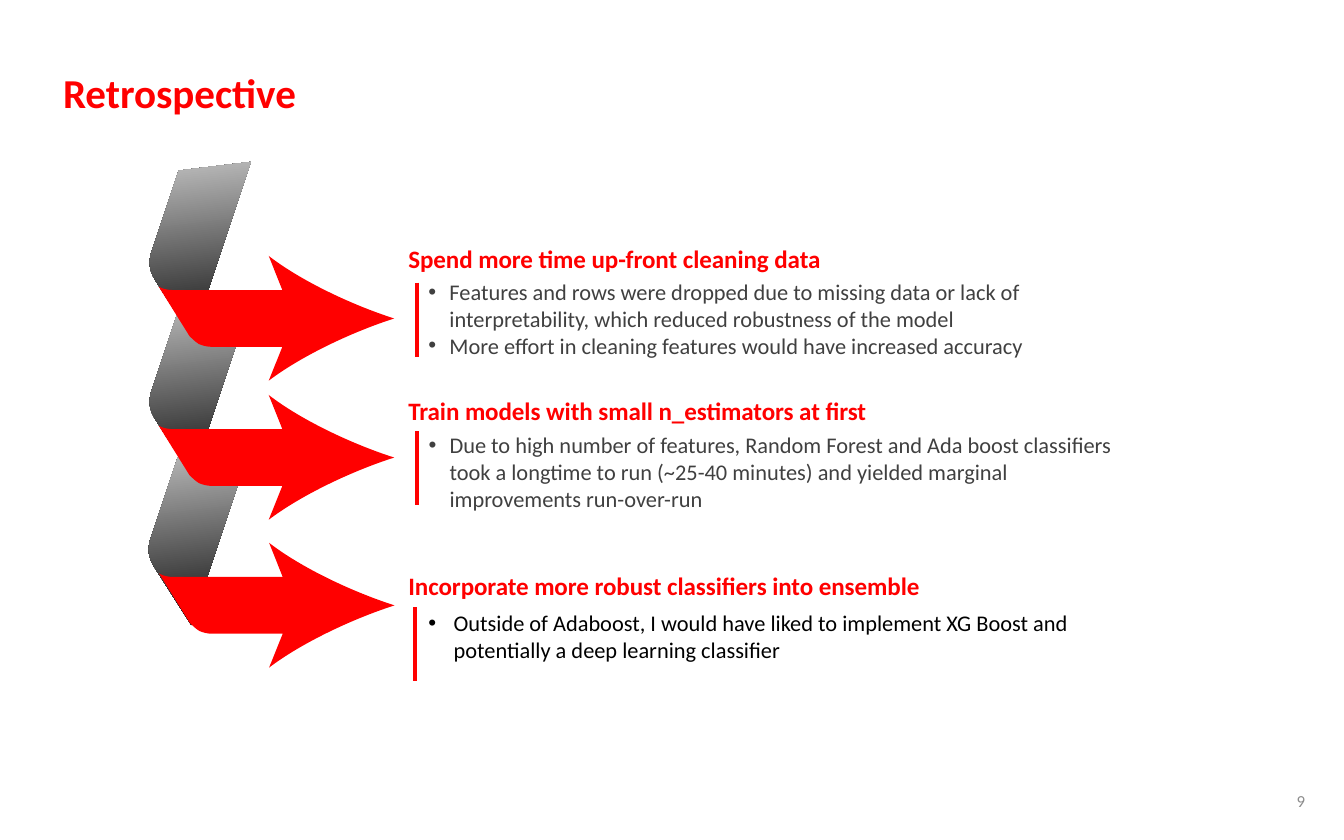
"""Build the Retrospective slide: a folded ribbon with three lessons."""
from lxml import etree
from pptx import Presentation, util as u
from pptx.dml.color import RGBColor
from pptx.enum import shapes, text
from pptx.oxml.ns import qn

RED = RGBColor(0xFF, 0x00, 0x00)
BLACK = RGBColor(0x00, 0x00, 0x00)
CHARCOAL = RGBColor(0x40, 0x40, 0x40)
SILVER = RGBColor(0xBF, 0xBF, 0xBF)
GRAY = RGBColor(0x8C, 0x8C, 0x8C)

deck = Presentation()
deck.slide_width, deck.slide_height = u.Pt(720), u.Pt(450)
slide = deck.slides.add_slide(deck.slide_layouts[5])


def write(paragraphs, left, top, width, height, size, color, bold=False, holder=None,
          indent=0, align=text.PP_ALIGN.LEFT, anchor=text.MSO_ANCHOR.TOP, spacing=1.0):
    box = [u.Pt(value) for value in (left, top, width, height)]
    holder = holder or slide.shapes.add_textbox(*box)
    holder.left, holder.top, holder.width, holder.height = box
    frame = holder.text_frame
    frame.text = "\n".join(paragraphs)
    frame.word_wrap = True
    frame.auto_size = text.MSO_AUTO_SIZE.NONE
    frame.vertical_anchor = anchor
    for paragraph in frame.paragraphs:
        paragraph.alignment = align
        paragraph.line_spacing = spacing
        if indent:
            properties = paragraph._p.get_or_add_pPr()
            properties.set("marL", str(u.Pt(indent)))
            properties.set("indent", str(-u.Pt(indent)))
            etree.SubElement(properties, qn("a:buFont")).set("typeface", "Arial")
            etree.SubElement(properties, qn("a:buChar")).set("char", "•")
        for run in paragraph.runs:
            run.font.name, run.font.size = "Calibri", u.Pt(size)
            run.font.bold, run.font.color.rgb = bold, color


def draw_outline(start, segments, shift, drop):
    corners = [(u.Pt(x + shift), u.Pt(y + drop))
               for x, y in [start] + [segment[-1] for segment in segments]]
    builder = slide.shapes.build_freeform(*corners[0])
    builder.add_line_segments(corners[1:], close=True)
    outline = builder.convert_to_shape()
    edges = list(outline._element.spPr.iter(qn("a:lnTo")))
    for edge, segment in zip(edges, segments):
        if len(segment) == 3:
            curve = etree.Element(qn("a:cubicBezTo"))
            for x, y in segment:
                etree.SubElement(curve, qn("a:pt"),
                                 x=str(u.Pt(x + shift) - outline.left),
                                 y=str(u.Pt(y + drop) - outline.top))
            edge.getparent().replace(edge, curve)
    outline.shadow.inherit = False
    outline.line.fill.background()
    return outline


RIBBON_START = (101.1, 90)
RIBBON = [
    [(98.1, 96.2), (81.6, 131.1), (81.6, 131.1)],
    [(80.6, 133.2), (79.6, 136), (79.6, 139)],
    [(79.6, 141.8), (80.6, 144.8), (81.8, 147.2)],
    [(97.5, 180)],
    [(140.1, 90)],
]
ARROW_START = (144, 203.9)
ARROW = [
    [(151.3, 185.8)],
    [(113.6, 185.8)],
    [(111.1, 185.8), (108.7, 185.2), (106.6, 184.3)],
    [(104.4, 182.9), (103, 181.4), (101.5, 180)],
    [(85, 153.5)],
    [(85, 153.5), (87.8, 155.4), (92.9, 155.4)],
    [(151.3, 155.4)],
    [(144, 137.1)],
    [(161.3, 150.5), (188.6, 163.4), (211.2, 170.6)],
    [(188.6, 177.8), (161.3, 190.8), (144, 203.9)],
]
SHADES = [(0, BLACK), (31, CHARCOAL), (100, SILVER)]

for ribbon_shift, arrow_shift, drop in ((-0.5, 0.2, 153.7), (0, 0, 74.5), (0, 0, 0)):
    ribbon = draw_outline(RIBBON_START, RIBBON, ribbon_shift, drop)
    ribbon.rotation = -6.9
    ribbon.fill.gradient()
    ribbon.fill.gradient_angle = 90
    stops = ribbon._element.spPr.find(qn("a:gradFill")).find(qn("a:gsLst"))
    for stop in list(stops):
        stops.remove(stop)
    for percent, shade in SHADES:
        stop = etree.SubElement(stops, qn("a:gs"), pos=str(percent * 1000))
        etree.SubElement(stop, qn("a:srgbClr"), val=str(shade))
    arrow = draw_outline(ARROW_START, ARROW, arrow_shift, drop)
    arrow.fill.solid()
    arrow.fill.fore_color.rgb = RED
    slide.shapes.add_group_shape([ribbon, arrow])

write(["Retrospective"], 26.6, 23.8, 666.7, 54, 22, RED, bold=True,
      holder=slide.shapes.title, anchor=text.MSO_ANCHOR.MIDDLE, spacing=0.9)

lessons = [
    ("Spend more time up-front cleaning data", 127, 433.4,
     ["Features and rows were dropped due to missing data or lack of interpretability, "
      "which reduced robustness of the model",
      "More effort in cleaning features would have increased accuracy"],
     145.4, 379.4, 51, 11.25, CHARCOAL, 223.2, 151.4),
    ("Train models with small n_estimators at first", 208.4, 304.6,
     ["Due to high number of features, Random Forest and Ada boost classifiers took a "
      "longtime to run (~25-40 minutes) and yielded marginal improvements run-over-run"],
     227.5, 390.2, 51, 11.25, CHARCOAL, 223.2, 231.1),
    ("Incorporate more robust classifiers into ensemble", 302, 311.8,
     ["Outside of Adaboost, I would have liked to implement XG Boost and potentially "
      "a deep learning classifier"],
     322.9, 379.4, 36, 13.5, BLACK, 222.5, 325.4),
]
for (heading, heading_top, heading_width, points, top, width, height, indent, color,
     bar_x, bar_top) in lessons:
    write(points, 222.5, top, width, height, 12, color, indent=indent)
    write([heading], 211.7, heading_top, heading_width, 23.8, 13.33, RED, bold=True)
    bar = slide.shapes.add_connector(shapes.MSO_CONNECTOR.STRAIGHT, u.Pt(bar_x), u.Pt(bar_top),
                                     u.Pt(bar_x), u.Pt(bar_top + 39.6))
    bar.line.color.rgb, bar.line.width = RED, u.Pt(2.25)
    etree.SubElement(bar._element.spPr, qn("a:effectLst"))

write(["9"], 544.3, 416.9, 162, 23.8, 9, GRAY,
      align=text.PP_ALIGN.RIGHT, anchor=text.MSO_ANCHOR.MIDDLE)

deck.save("out.pptx")
